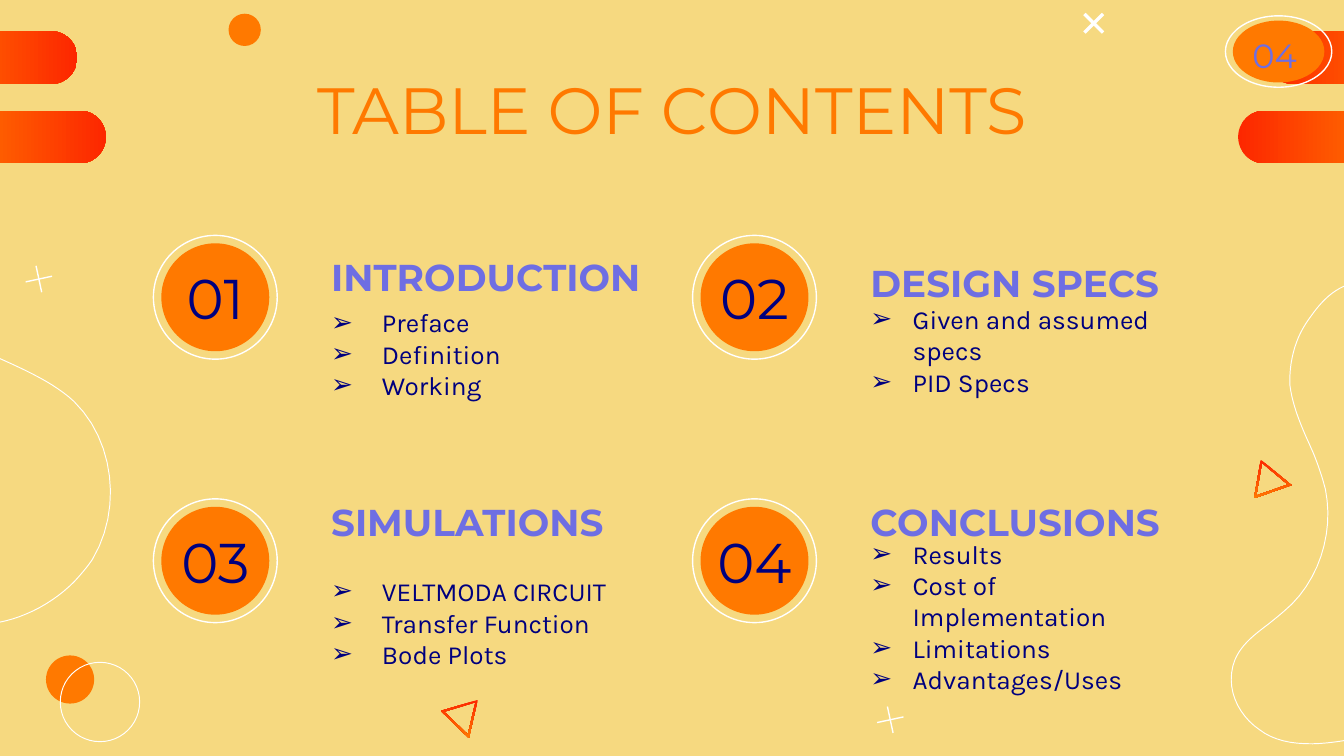
from dataclasses import dataclass
from math import cos, radians, sin

from lxml import etree
from pptx import Presentation
from pptx.dml.color import RGBColor
from pptx.enum.shapes import MSO_CONNECTOR, MSO_SHAPE
from pptx.enum.text import MSO_ANCHOR, PP_ALIGN
from pptx.oxml.ns import qn
from pptx.util import Cm, Pt

OVAL, PILL = MSO_SHAPE.OVAL, MSO_SHAPE.ROUNDED_RECTANGLE
LINE = MSO_CONNECTOR.STRAIGHT
MIDDLE = MSO_ANCHOR.MIDDLE
LEFT, CENTER = PP_ALIGN.LEFT, PP_ALIGN.CENTER


@dataclass(frozen=True)
class Theme:
    """Colours, fonts and type sizes of the deck."""
    back: str = "F6D980"
    orange: str = "FF7900"
    red: str = "FD2700"
    white: str = "FFFFFF"
    navy: str = "00007E"
    violet: str = "6E6EE3"
    head: str = "Montserrat"
    body: str = "Karla"
    title: int = 35
    number: int = 30
    topic: int = 20
    page: int = 18
    item: int = 14


T = Theme()
TOPICS = [
    ("01", "INTRODUCTION", 4.5, 5.94, 0.96, ["Preface", "Definition", "Working"]),
    ("02", "DESIGN SPECS", 4.6, 5.87, 0.8, ["Given and assumed specs", "PID Specs"]),
    ("03", "SIMULATIONS", 9.12, 11.02, 0.96,
     ["VELTMODA CIRCUIT", "Transfer Function", "Bode Plots"]),
    ("04", "CONCLUSIONS", 9.12, 10.9, 0.8,
     ["Results", "Cost of Implementation", "Limitations", "Advantages/Uses"]),
]
LEFT_WAVE = [
    (0, 0), (0.51, 0.23), (1.02, 0.46), (1.4, 0.81), (2.16, 1.55), (2.31, 2.85),
    (1.75, 3.79), (1.65, 3.94), (1.52, 4.09), (1.4, 4.22), (1.02, 4.6),
    (0.51, 4.88), (0, 4.98),
]
RIGHT_WAVE = [
    (2.4, 0), (2.07, 0.15), (1.87, 0.43), (1.69, 0.69), (1.46, 1.04), (1.36, 1.47),
    (1.38, 1.88), (1.43, 2.26), (1.59, 2.64), (1.74, 2.97), (1.87, 3.25),
    (1.97, 3.53), (2.05, 3.84), (2.22, 4.67), (1.92, 5.61), (1.26, 6.15),
    (1.18, 6.22), (1.08, 6.3), (0.98, 6.38), (0.72, 6.58), (0.47, 6.76),
    (0.34, 7.06), (0.14, 7.57), (0.39, 8.1), (0.8, 8.38), (1.2, 8.69),
    (1.8, 8.69), (2.4, 8.59),
]


def rgb(code):
    """Turn a hex code into a colour."""
    return RGBColor.from_string(code)


def paint(shape, fill=None, line=None, width=0.75):
    """Set a plain fill and line, with no shadow."""
    shape.shadow.inherit = False
    if fill:
        shape.fill.solid()
        shape.fill.fore_color.rgb = rgb(fill)
    else:
        shape.fill.background()
    if line:
        shape.line.color.rgb = rgb(line)
        shape.line.width = Pt(width)
    else:
        shape.line.fill.background()


def blend(shape, first, last, angle):
    """Fill a shape with a two-colour gradient."""
    paint(shape)
    shape.fill.gradient()
    shape.fill.gradient_angle = angle
    for stop, code in zip(shape.fill.gradient_stops, (first, last)):
        stop.color.rgb = rgb(code)


def oval(slide, box, **style):
    """Draw an ellipse in its box."""
    paint(slide.shapes.add_shape(OVAL, *map(Cm, box)), **style)


def write(slide, box, lines, font, size, code, align=LEFT, bold=False):
    """Add a text box with one paragraph a line."""
    frame = slide.shapes.add_textbox(*map(Cm, box)).text_frame
    frame.word_wrap = True
    frame.vertical_anchor = MIDDLE
    frame.margin_left = frame.margin_right = Cm(0.25)
    frame.margin_top = frame.margin_bottom = Cm(0.25)
    for i, line in enumerate(lines):
        para = frame.add_paragraph() if i else frame.paragraphs[0]
        para.alignment = align
        run = para.add_run()
        run.text = line
        run.font.name, run.font.size, run.font.bold = font, Pt(size), bold
        run.font.color.rgb = rgb(code)
    return frame


def bullet(para, indent):
    """Give a paragraph an arrow bullet."""
    props = para._p.get_or_add_pPr()
    props.set("marL", str(Cm(indent)))
    props.set("indent", str(-Cm(indent)))
    tint = etree.SubElement(props, qn("a:buClr"))
    etree.SubElement(tint, qn("a:srgbClr")).set("val", T.navy)
    etree.SubElement(props, qn("a:buFont")).set("typeface", T.body)
    etree.SubElement(props, qn("a:buChar")).set("char", "➢")


def bar(slide, box, first, last):
    """Draw a round-ended bar that runs off the edge."""
    pill = slide.shapes.add_shape(PILL, *map(Cm, box))
    pill.adjustments[0] = 0.5
    blend(pill, first, last, 0)


def wave(slide, box, points, steps=12):
    """Draw a chain of cubic curves from the corner of the box."""
    path = [points[0]]
    for i in range(0, len(points) - 1, 3):
        quad = points[i:i + 4]
        for t in (n / steps for n in range(1, steps + 1)):
            mix = ((1 - t) ** 3, 3 * t * (1 - t) ** 2, 3 * t * t * (1 - t), t ** 3)
            path.append([sum(m * p[k] for m, p in zip(mix, quad)) for k in (0, 1)])
    path = [(Cm(box[0] + x), Cm(box[1] + y)) for x, y in path]
    pen = slide.shapes.build_freeform(*path[0])
    pen.add_line_segments(path[1:], close=False)
    paint(pen.convert_to_shape(), line=T.white, width=0.5)


def cross(slide, box, tilt, width):
    """Draw two crossed lines in the box."""
    x, y, w, h = box
    for turn in (tilt, tilt + 90):
        dx, dy = w / 2 * cos(radians(turn)), h / 2 * sin(radians(turn))
        mx, my = x + w / 2, y + h / 2
        ends = (mx - dx, my - dy, mx + dx, my + dy)
        arm = slide.shapes.add_connector(LINE, *map(Cm, ends))
        arm.line.color.rgb = rgb(T.white)
        arm.line.width = Pt(width)
        etree.SubElement(arm._element.spPr, qn("a:effectLst"))


def wedge(slide, box, points):
    """Draw a hollow triangle from points given as shares of the box."""
    x, y, w, h = box
    outer = [(x + w * a, y + h * b) for a, b in points]
    mx, my = (sum(p[k] for p in outer) / 3 for k in (0, 1))
    inner = [(mx + (a - mx) * 0.84, my + (b - my) * 0.84) for a, b in outer[::-1]]
    outer, inner = ([(Cm(a), Cm(b)) for a, b in ring] for ring in (outer, inner))
    pen = slide.shapes.build_freeform(*outer[0])
    pen.add_line_segments(outer[1:])
    pen.move_to(*inner[0])
    pen.add_line_segments(inner[1:])
    blend(pen.convert_to_shape(), T.red, T.orange, 270)


def badge(slide, box, dx, dy):
    """Draw a disc inside a thin ring."""
    x, y, w, h = box
    oval(slide, box, line=T.white)
    oval(slide, (x + dx, y + dy, w - 2 * dx, h - 2 * dy), fill=T.orange)


def decor(slide, box):
    """Place the ornaments around the slide."""
    x, y, w, h = box
    for top, seen in ((0.59, 1.46), (2.09, 2)):
        bar(slide, (x + seen - 3.07, y + top, 3.07, 1), T.orange, T.red)
        bar(slide, (x + w - seen, y + top, 3.07, 1), T.red, T.orange)
    wave(slide, (x + 23, y + 5.41), RIGHT_WAVE)
    wave(slide, (x, y + 6.78), LEFT_WAVE)
    oval(slide, (x + 0.87, y + 12.39, 0.91, 0.91), fill=T.orange)
    oval(slide, (x + 1.14, y + 12.52, 1.5, 1.5), line=T.white, width=0.5)
    oval(slide, (x + 4.32, y + 0.26, 0.61, 0.61), fill=T.orange)
    cross(slide, (x + 20.42, y + 0.19, 0.5, 0.5), 45, 1.75)
    for left, top in ((0.48, 5.02), (16.57, 13.35)):
        cross(slide, (x + left, y + top, 0.51, 0.51), -12, 0.75)
    wedge(slide, (x + 23.7, y + 8.69, 0.71, 0.73), [(0.18, 0), (0, 1), (1, 0.66)])
    wedge(slide, (x + 8.33, y + 13.23, 0.7, 0.72), [(0, 0.29), (1, 0), (0.76, 1)])


def topic(slide, box, entry):
    """Place a numbered badge, its heading and its list."""
    x, y, size = box
    number, name, top, low, indent, items = entry
    badge(slide, (x, y, size, size), 0.15, 0.15)
    write(slide, (x + 0.15, y + 0.51, size - 0.3, 1.32), [number],
          T.head, T.number, T.navy, CENTER)
    write(slide, (x + 3.11, top, 6.68, 1.47), [name], T.head, T.topic, T.violet, bold=True)
    frame = write(slide, (x + 3.11, low, 6.3, 1.5), items, T.body, T.item, T.navy)
    for para in frame.paragraphs:
        bullet(para, indent)


def page(slide, box, number):
    """Place the page number in its oval."""
    x, y, w, h = box
    badge(slide, box, 0.14, 0.09)
    frame = write(slide, (x + 0.13, y + 0.72, 1.6, 0.2), [number],
                  T.head, T.page, T.violet, CENTER)
    frame.paragraphs[0].line_spacing = 0.8


def main():
    """Build and save the contents slide."""
    deck = Presentation()
    deck.slide_width, deck.slide_height = Cm(25.4), Cm(14.29)
    slide = deck.slides.add_slide(deck.slide_layouts[6])
    slide.background.fill.solid()
    slide.background.fill.fore_color.rgb = rgb(T.back)
    decor(slide, (0, 0, 25.4, 14.29))
    for i, entry in enumerate(TOPICS):
        row, col = divmod(i, 2)
        topic(slide, (2.9 + 10.19 * col, 4.45 + 4.98 * row, 2.34), entry)
    write(slide, (2, 1.24, 21.4, 1.6), ["TABLE OF CONTENTS"],
          T.head, T.title, T.orange, CENTER)
    page(slide, (23.16, 0.3, 2.01, 1.35), "04")
    deck.save("out.pptx")


if __name__ == "__main__":
    main()
